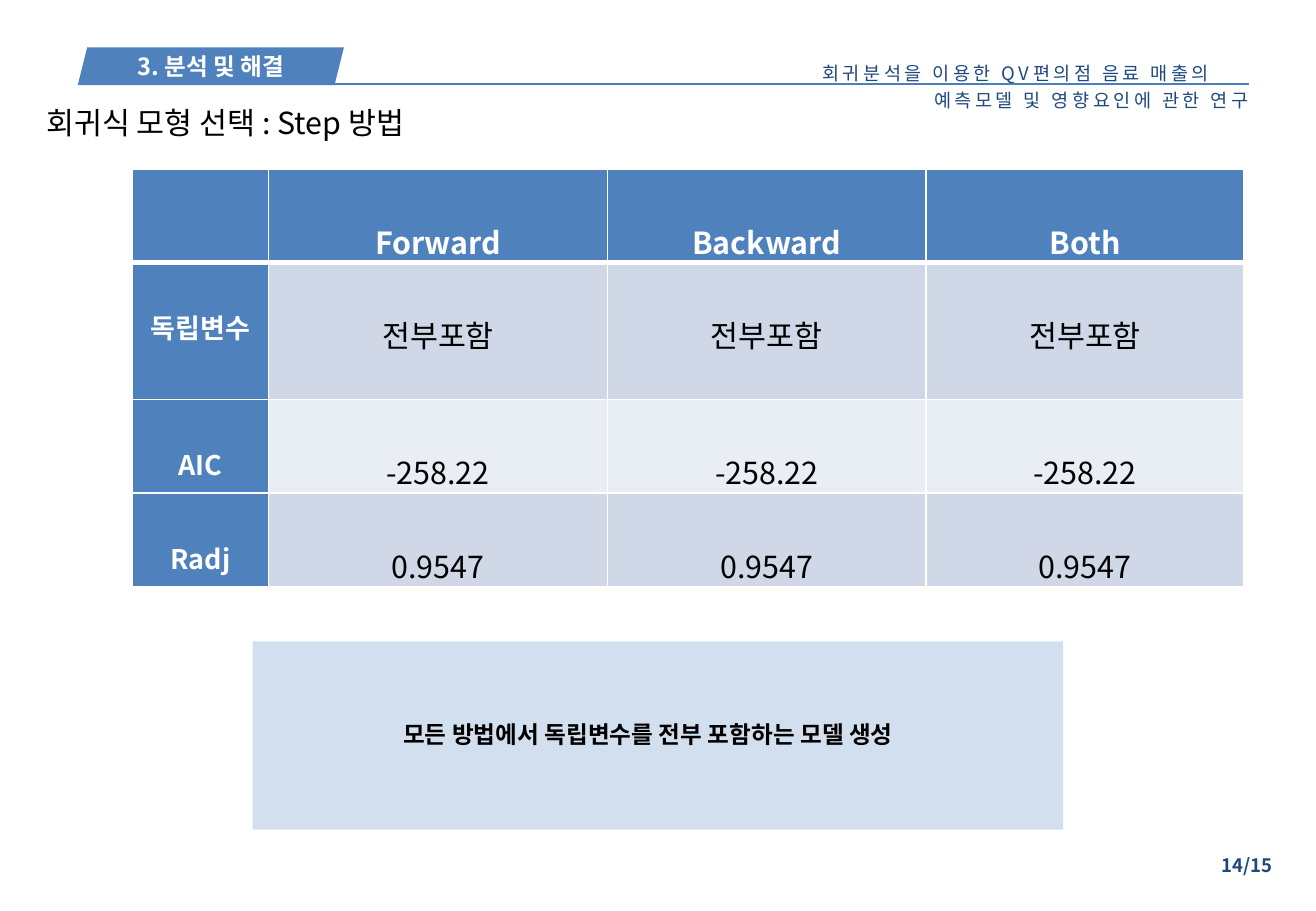
from collections import namedtuple

from lxml.etree import SubElement
from pptx import Presentation
from pptx.dml.color import RGBColor
from pptx.enum.shapes import MSO_CONNECTOR as Connector, MSO_SHAPE as Shape
from pptx.enum.text import MSO_ANCHOR as Anchor, PP_ALIGN as Align
from pptx.oxml.ns import qn
from pptx.util import Inches, Pt

FONT = "Noto Sans CJK KR"
COLORS = {
    "navy": "1F497D", "blue": "4F81BD", "rule": "4B7EBC", "white": "FFFFFF",
    "black": "000000", "band_dark": "D0D8E8", "band_light": "E9EDF4",
}
WIDTH, HEIGHT = 10.83, 7.5

COLUMN_SHARES = (1.12, 2.79, 2.62, 2.62)
ROW_SHARES = (0.77, 1.13, 0.77, 0.77)
METHODS = ("Forward", "Backward", "Both")
RESULTS = {"독립변수": "전부포함", "AIC": "-258.22", "Radj": "0.9547"}


class Box(namedtuple("Box", "left top width height")):
    def inner(self, left, top, width, height):
        """Sub-box given as shares of this box."""
        return Box(self.left + left * self.width, self.top + top * self.height,
                   width * self.width, height * self.height)

    def emu(self):
        return [Inches(round(length, 2)) for length in self]


def color(name):
    return RGBColor.from_string(COLORS[name])


def fill_solid(target, name):
    target.fill.solid()
    target.fill.fore_color.rgb = color(name)


def style(paragraph, size, name, bold=False, align=Align.LEFT, line=None,
          tracking=None):
    paragraph.alignment = align
    if line:
        paragraph.line_spacing = line
    font = paragraph.font
    font.name, font.size, font.bold = FONT, Pt(size), bold
    font.color.rgb = color(name)
    properties = paragraph._p.pPr.find(qn("a:defRPr"))
    SubElement(properties, qn("a:ea")).set("typeface", FONT)
    if tracking:
        for run in paragraph.runs:
            run._r.get_or_add_rPr().set("spc", str(tracking * 100))


def add_text(shapes, box, text, anchor=Anchor.TOP, **look):
    frame = shapes.add_textbox(*box.emu()).text_frame
    frame.word_wrap = True
    frame.vertical_anchor = anchor
    frame.text = text
    for paragraph in frame.paragraphs:
        style(paragraph, **look)
    return frame


def add_block(shapes, preset, box):
    block = shapes.add_shape(preset, *box.emu())
    block.shadow.inherit = False
    block.line.fill.background()
    fill_solid(block, "blue")
    return block


def add_header(slide, box):
    """Section tab, rule and study title."""
    study = add_text(
        slide.shapes, box.inner(0.622, 0.05, 0.378, 0.95),
        "회귀분석을 이용한 QV편의점 음료 매출의\n예측모델 및 영향요인에 관한 연구",
        size=11, name="navy", line=Pt(16), tracking=2)
    study.paragraphs[1]._p.pPr.set("marL", str(Inches(0.92)))

    tab = add_block(slide.shapes, Shape.PARALLELOGRAM, box.inner(0.06, 0, 0.204, 0.53))
    tab.text_frame.vertical_anchor = Anchor.MIDDLE
    tab.text_frame.text = "3. 분석 및 해결"
    style(tab.text_frame.paragraphs[0], 14, "white", True, Align.CENTER)

    left, top, width, _ = box.inner(0.25, 0.52, 0.709, 0).emu()
    rule = slide.shapes.add_connector(Connector.STRAIGHT, left, top, left + width, top)
    rule.line.color.rgb = color("rule")
    rule.line.width = Pt(1)
    SubElement(rule._element.spPr, qn("a:effectLst"))


def set_title(slide, box):
    title = slide.shapes.title
    title.left, title.top, title.width, title.height = box.emu()
    title.text_frame.text = "회귀식 모형 선택 : Step 방법"
    title.text_frame.vertical_anchor = Anchor.TOP
    style(title.text_frame.paragraphs[0], 18, "black")


def set_borders(cell, top=1, bottom=1):
    properties = cell._tc.get_or_add_tcPr()
    for side, points in (("L", 1), ("R", 1), ("T", top), ("B", bottom)):
        border = SubElement(properties, qn(f"a:ln{side}"), w=str(Pt(points)))
        fill = SubElement(border, qn("a:solidFill"))
        SubElement(fill, qn("a:srgbClr"), val=COLORS["white"])


def add_results_table(slide, box):
    rows = [("",) + METHODS]
    rows += [(label,) + (value,) * len(METHODS) for label, value in RESULTS.items()]
    table = slide.shapes.add_table(len(rows), len(rows[0]), *box.emu()).table
    table.first_col = True
    for column, share in zip(table.columns, COLUMN_SHARES):
        column.width = Inches(round(box.width * share / sum(COLUMN_SHARES), 2))
    for row, share in zip(table.rows, ROW_SHARES):
        row.height = Inches(round(box.height * share / sum(ROW_SHARES), 2))

    for r, values in enumerate(rows):
        for c, value in enumerate(values):
            cell = table.cell(r, c)
            heading = r == 0 or c == 0
            band = "band_dark" if r % 2 else "band_light"
            set_borders(cell, top=3 if r == 1 else 1, bottom=3 if r == 0 else 1)
            fill_solid(cell, "blue" if heading else band)
            cell.margin_bottom = 0
            cell.text = value
            style(cell.text_frame.paragraphs[0], 16 if r and c == 0 else 18,
                  "white" if heading else "black", heading, Align.CENTER, 2.0)


def add_conclusion(slide, box):
    group = slide.shapes.add_group_shape()
    panel = add_block(group.shapes, Shape.RECTANGLE, box)
    panel_color = panel._element.spPr.find(qn("a:solidFill"))[0]
    SubElement(panel_color, qn("a:alpha"), val="25000")
    add_text(group.shapes, box.inner(0.171, 0.323, 0.67, 0.265),
             "모든 방법에서 독립변수를 전부 포함하는 모델 생성", Anchor.MIDDLE,
             size=14, name="black", bold=True, line=1.5)


def add_page_number(slide, box):
    add_text(slide.shapes, box, "14/15", size=11, name="navy", bold=True,
             align=Align.RIGHT)


def main():
    presentation = Presentation()
    presentation.slide_width, presentation.slide_height = Inches(WIDTH), Inches(HEIGHT)
    slide = presentation.slides.add_slide(presentation.slide_layouts[5])
    page = Box(0, 0, WIDTH, HEIGHT)
    add_header(slide, page.inner(0, 0.052, 0.99, 0.077))
    set_title(slide, page.inner(0.026, 0.108, 0.382, 0.053))
    add_results_table(slide, page.inner(0.101, 0.185, 0.844, 0.459))
    add_conclusion(slide, page.inner(0.192, 0.704, 0.616, 0.207))
    add_page_number(slide, page.inner(0.76, 0.931, 0.216, 0.039))
    presentation.save("out.pptx")


if __name__ == "__main__":
    main()
